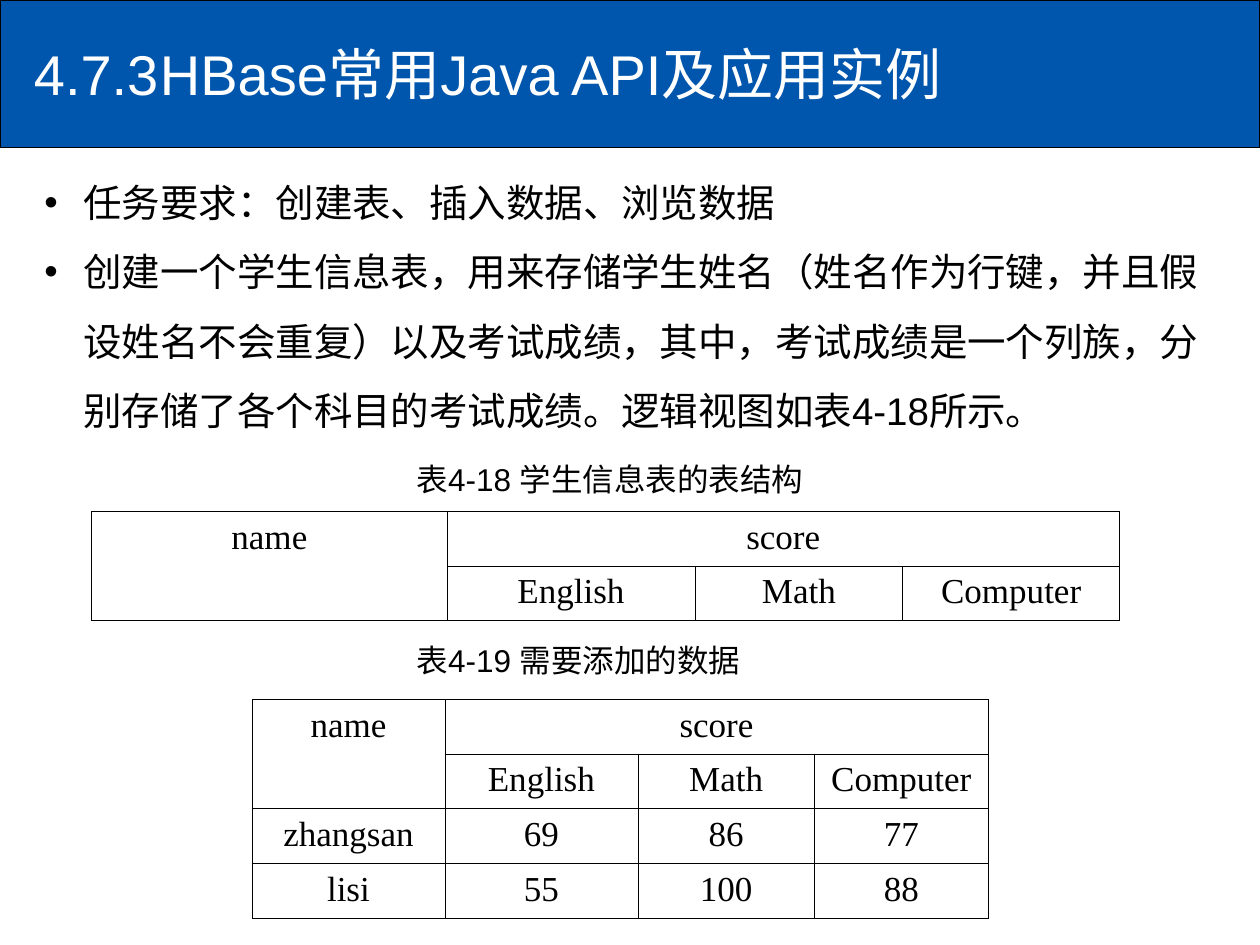
import pptx
import pptx.util
import pptx.dml.color
import pptx.enum.shapes
import pptx.enum.text
import pptx.oxml
import pptx.oxml.ns

Cm, Pt = pptx.util.Cm, pptx.util.Pt
RGBColor = pptx.dml.color.RGBColor
Align = pptx.enum.text.PP_ALIGN
Anchor = pptx.enum.text.MSO_ANCHOR
Fit = pptx.enum.text.MSO_AUTO_SIZE

BLUE = RGBColor(0x00, 0x56, 0xAC)
WHITE = RGBColor(0xFF, 0xFF, 0xFF)
BLACK = RGBColor(0x00, 0x00, 0x00)


class Deck:
    sans, serif = "Arial", "Times New Roman"

    def __init__(self):
        self.prs = pptx.Presentation()
        self.prs.slide_width, self.prs.slide_height = Cm(25.4), Cm(19.05)
        self.slide = self.prs.slides.add_slide(self.prs.slide_layouts[1])

    def place(self, shape, left, top, width, height):
        shape.left, shape.top = Cm(left), Cm(top)
        shape.width, shape.height = Cm(width), Cm(height)

    def say(self, para, text, size, color=BLACK, font=sans, align=Align.LEFT):
        para.alignment = align
        run = para.add_run()
        run.text = text
        run.font.size, run.font.name = Pt(size), font
        run.font.color.rgb = color

    def banner(self, height):
        kind = pptx.enum.shapes.MSO_SHAPE.RECTANGLE
        bar = self.slide.shapes.add_shape(kind, 0, 0, self.prs.slide_width, Cm(height))
        bar.shadow.inherit = False
        bar.fill.solid()
        bar.fill.fore_color.rgb = BLUE
        bar.line.color.rgb = BLACK
        bar.line.width = Pt(0.75)
        # Behind the title
        self.slide.shapes._spTree.insert(2, bar._element)

    def title(self, text, *box):
        shape = self.slide.shapes.title
        self.place(shape, *box)
        frame = shape.text_frame
        frame.auto_size = Fit.NONE
        frame.vertical_anchor = Anchor.MIDDLE
        para = frame.paragraphs[0]
        # The heading starts at a tab stop after its number
        stops = pptx.oxml.parse_xml(
            f'<a:tabLst {pptx.oxml.ns.nsdecls("a")}>'
            f'<a:tab pos="{Cm(2.54)}" algn="l"/></a:tabLst>')
        para._p.get_or_add_pPr().append(stops)
        self.say(para, text, 32, WHITE)

    def points(self, items, *box):
        shape = self.slide.placeholders[1]
        self.place(shape, *box)
        frame = shape.text_frame
        frame.word_wrap = True
        frame.auto_size = Fit.SHAPE_TO_FIT_TEXT
        frame.vertical_anchor = Anchor.MIDDLE
        for i, item in enumerate(items):
            para = frame.add_paragraph() if i else frame.paragraphs[0]
            props = para._p.get_or_add_pPr()
            props.set("marL", str(Cm(0.79)))
            props.set("indent", str(-Cm(0.79)))
            para.line_spacing = 1.5
            para.space_before = Pt(0)
            self.say(para, item, 22)

    def label(self, text, *box):
        shape = self.slide.shapes.add_textbox(0, 0, 0, 0)
        self.place(shape, *box)
        frame = shape.text_frame
        frame.word_wrap = False
        frame.auto_size = Fit.SHAPE_TO_FIT_TEXT
        self.say(frame.paragraphs[0], text, 18)

    def border(self, cell):
        props = cell._tc.get_or_add_tcPr()
        for side in "LRTB":
            props.append(pptx.oxml.parse_xml(
                f'<a:ln{side} {pptx.oxml.ns.nsdecls("a")} w="{Pt(0.45)}">'
                f'<a:solidFill><a:srgbClr val="{BLACK}"/></a:solidFill></a:ln{side}>'))

    def table(self, rows, left, top, widths, height=0.85):
        shape = self.slide.shapes.add_table(
            len(rows), len(widths), Cm(left), Cm(top),
            Cm(sum(widths)), Cm(height * len(rows)))
        grid = shape.table
        grid.first_row = grid.horz_banding = False
        for col, width in zip(grid.columns, widths):
            col.width = Cm(width)
        for r, row in enumerate(rows):
            grid.rows[r].height = Cm(height)
            for c, text in enumerate(row):
                cell = grid.cell(r, c)
                cell.margin_left = cell.margin_right = Cm(0.2)
                self.border(cell)
                cell.fill.background()
                if text:
                    para = cell.text_frame.paragraphs[0]
                    self.say(para, text, 20, font=self.serif, align=Align.CENTER)
        # The name spans both header rows, the score all subjects
        grid.cell(0, 0).merge(grid.cell(1, 0))
        grid.cell(0, 1).merge(grid.cell(0, len(widths) - 1))


def main():
    deck = Deck()

    # Heading
    deck.banner(2.97)
    deck.title("4.7.3\tHBase常用Java API及应用实例", 0.43, 0.2, 22.23, 2.54)

    # Task
    deck.points([
        "任务要求：创建表、插入数据、浏览数据",
        "创建一个学生信息表，用来存储学生姓名（姓名作为行键，并且假设姓名不会重复）"
        "以及考试成绩，其中，考试成绩是一个列族，分别存储了各个科目的考试成绩。"
        "逻辑视图如表4-18所示。",
    ], 0.64, 3.02, 24.13, 5.84)

    # Tables with their captions
    head = [["name", "score", "", ""], ["", "English", "Math", "Computer"]]
    marks = [["zhangsan", "69", "86", "77"], ["lisi", "55", "100", "88"]]
    deck.label("表4-18 学生信息表的表结构", 8.15, 9.14, 8.61, 1.02)
    deck.table(head, 1.85, 10.31, [7.16, 5, 4.19, 4.37])
    deck.label("表4-19 需要添加的数据", 8.15, 12.8, 7.34, 1.02)
    deck.table(head + marks, 5.08, 14.1, [3.89, 3.89, 3.56, 3.5])

    deck.prs.save("out.pptx")


if __name__ == "__main__":
    main()
